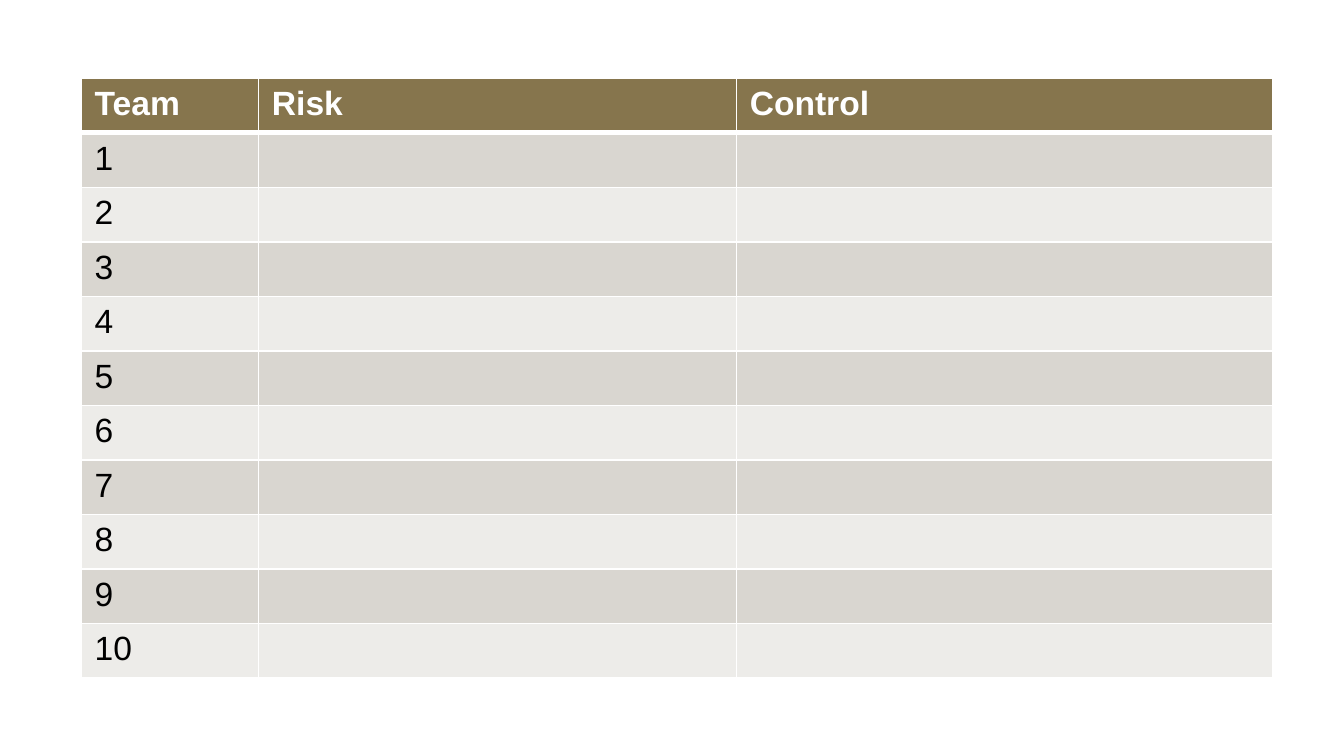
"""Build a slide with an empty risk and control table for ten teams."""
from lxml import etree
from pptx import Presentation
from pptx.dml.color import RGBColor
from pptx.oxml.ns import qn
from pptx.util import Pt

WHITE = RGBColor(0xFF, 0xFF, 0xFF)
BLACK = RGBColor(0x00, 0x00, 0x00)
BROWN = RGBColor(0x86, 0x75, 0x4D)
DARK_BAND = RGBColor(0xD9, 0xD6, 0xD0)
LIGHT_BAND = RGBColor(0xED, 0xEC, 0xE9)

HEADERS = ["Team", "Risk", "Control"]
COL_WIDTHS = [95, 256, 287.5]
ROW_HEIGHT = 29.2
TEAMS = 10


def set_border(cell, side, width):
    tc_pr = cell._tc.get_or_add_tcPr()
    ln = etree.SubElement(tc_pr, qn(f"a:{side}"), w=str(Pt(width)))
    fill = etree.SubElement(ln, qn("a:solidFill"))
    etree.SubElement(fill, qn("a:srgbClr"), val=str(WHITE))


prs = Presentation()
prs.slide_width, prs.slide_height = Pt(720), Pt(405)
s = prs.slides.add_slide(prs.slide_layouts[6])

rows = [HEADERS] + [[str(n), "", ""] for n in range(1, TEAMS + 1)]
frame = s.shapes.add_table(len(rows), len(HEADERS), Pt(43.5), Pt(42),
                           Pt(sum(COL_WIDTHS)), Pt(ROW_HEIGHT * len(rows)))
table = frame.table
for col, width in zip(table.columns, COL_WIDTHS):
    col.width = Pt(width)

for i, texts in enumerate(rows):
    table.rows[i].height = Pt(ROW_HEIGHT)
    header = i == 0
    band = BROWN if header else DARK_BAND if i % 2 else LIGHT_BAND
    font_format = {"name": "Arial", "size": Pt(18), "bold": header}
    borders = {"lnL": 1, "lnR": 1, "lnT": 3 if i == 1 else 1, "lnB": 3 if header else 1}
    for j, text in enumerate(texts):
        cell = table.cell(i, j)
        for side, width in borders.items():
            set_border(cell, side, width)
        cell.fill.solid()
        cell.fill.fore_color.rgb = band
        if text:
            r = cell.text_frame.paragraphs[0].add_run()
            r.text = text
            for key, value in font_format.items():
                setattr(r.font, key, value)
            r.font.color.rgb = WHITE if header else BLACK

prs.save("out.pptx")
